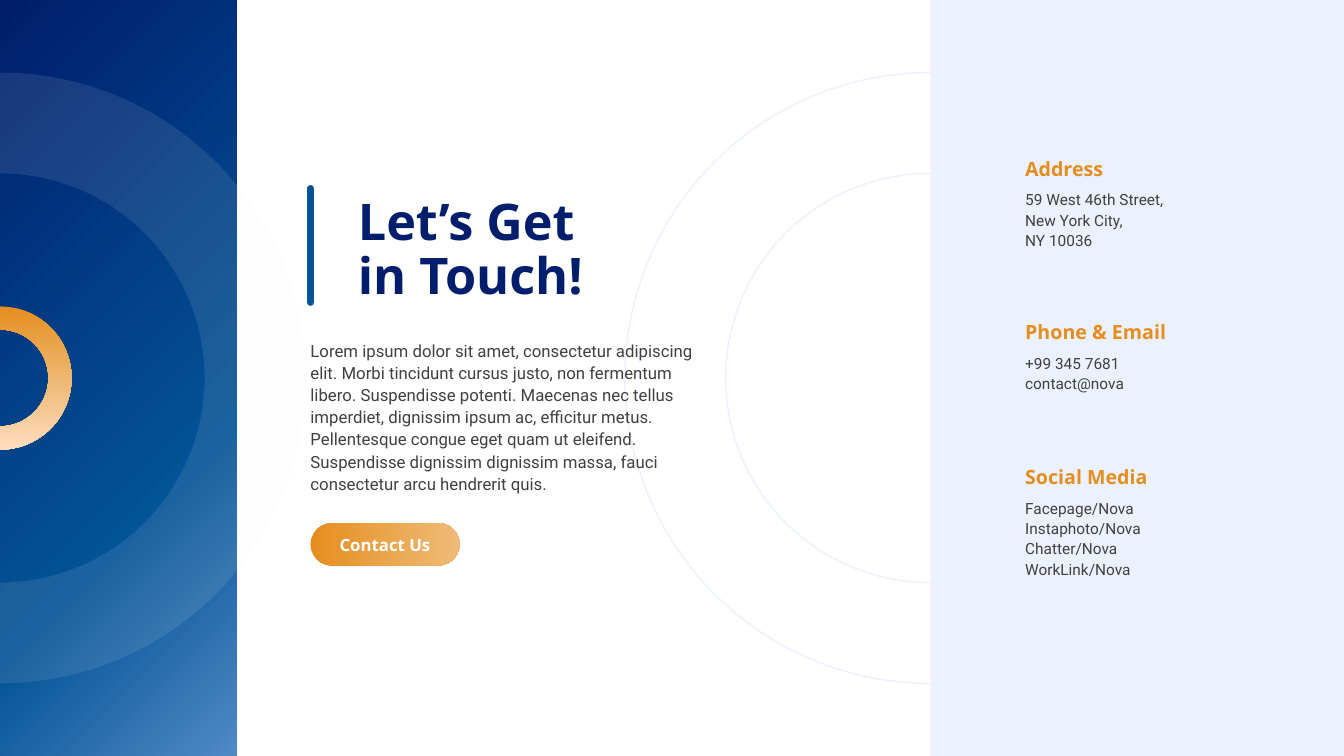
from lxml import etree
from pptx import Presentation
from pptx.dml.color import RGBColor
from pptx.enum.shapes import MSO_CONNECTOR, MSO_SHAPE
from pptx.enum.text import MSO_ANCHOR, MSO_AUTO_SIZE, PP_ALIGN
from pptx.oxml.ns import qn
from pptx.util import Inches, Pt

TOP, MIDDLE, BOTTOM = MSO_ANCHOR.TOP, MSO_ANCHOR.MIDDLE, MSO_ANCHOR.BOTTOM
LEFT, CENTER = PP_ALIGN.LEFT, PP_ALIGN.CENTER

TITLE = "Let’s Get\vin Touch!"
INTRO = (
    "Lorem ipsum dolor sit amet, consectetur adipiscing elit. Morbi tincidunt "
    "cursus justo, non fermentum libero. Suspendisse potenti. Maecenas nec tellus "
    "imperdiet, dignissim ipsum ac, efficitur metus. Pellentesque congue eget quam "
    "ut eleifend. Suspendisse dignissim dignissim massa, fauci consectetur arcu "
    "hendrerit quis."
)
BUTTON = "Contact Us"
CONTACTS = [
    (1.54, "Address", ["59 West 46th Street,", "New York City,", "NY 10036"]),
    (3.16, "Phone & Email", ["+99 345 7681", "contact@nova"]),
    (4.6, "Social Media",
     ["Facepage/Nova", "Instaphoto/Nova", "Chatter/Nova", "WorkLink/Nova"]),
]

COLORS = {
    "navy": "001E6C", "blue": "035397", "sky": "5089C6",
    "orange": "E58E1E", "apricot": "EFBB78", "peach": "FFDDBF",
    "pale": "ECF1FF", "mist": "F2F2F2", "text": "404040", "white": "FFFFFF",
}
HEADING_FONT, BODY_FONT = "Open Sans", "Roboto"

WIDTH, HEIGHT = 40 / 3, 7.5
MID_Y = HEIGHT / 2
BAND_WIDTH = 2.35
PANEL_LEFT = 9.23
BODY_LEFT = 3.08
RING_OUTER, RING_INNER = 3.03, 2.03
CONTACT_LEFT, CONTACT_WIDTH = 10.17, 2.02
LABEL_HEIGHT, LABEL_STEP, LINE_HEIGHT = 0.25, 0.33, 0.21


def rgb(name):
    return RGBColor.from_string(COLORS[name])


def inches(*values):
    return [Inches(value) for value in values]


def fill_solid(shape, color):
    shape.fill.solid()
    shape.fill.fore_color.rgb = rgb(color)


def fill_gradient(shape, stops, angle):
    """Fill with (percent, color) stops; the angle runs clockwise."""
    shape.fill.gradient()
    shape.fill.gradient_angle = -angle % 360
    stop_list = shape._element.spPr.find(qn("a:gradFill")).find(qn("a:gsLst"))
    for old_stop in list(stop_list):
        stop_list.remove(old_stop)
    for percent, color in stops:
        stop = etree.SubElement(stop_list, qn("a:gs"), pos=str(percent * 1000))
        etree.SubElement(stop, qn("a:srgbClr"), val=COLORS[color])


def add_plain_shape(slide, kind, left, top, width, height):
    shape = slide.shapes.add_shape(kind, *inches(left, top, width, height))
    shape.shadow.inherit = False
    shape.line.fill.background()
    return shape


def add_half_ring(slide, outer, inner):
    """Right half of a ring centred on the slide's left edge."""
    corners = [inches(x, MID_Y + y) for x, y in (
        (0, -outer), (outer, 0), (0, outer), (0, inner), (inner, 0), (0, -inner))]
    builder = slide.shapes.build_freeform(*corners[0])
    builder.add_line_segments(corners[1:], close=True)
    ring = builder.convert_to_shape()
    ring.shadow.inherit = False
    ring.line.fill.background()

    # Bend every side but the straight one at the bottom into a quarter circle.
    sides = list(ring._element.spPr.iter(qn("a:lnTo")))
    quarters = [(0, outer, -90, 90), (1, outer, 0, 90),
                (3, inner, 90, -90), (4, inner, 0, -90)]
    for index, radius, start, sweep in quarters:
        size = str(Inches(radius))
        arc = etree.Element(qn("a:arcTo"), wR=size, hR=size,
                            stAng=str(start * 60000), swAng=str(sweep * 60000))
        sides[index].getparent().replace(sides[index], arc)
    return ring


def write(shape, text, size, font, color, bold=False, anchor=TOP, align=LEFT, spacing=1.0):
    frame = shape.text_frame
    frame.text = text
    frame.word_wrap = True
    frame.auto_size = MSO_AUTO_SIZE.NONE
    frame.vertical_anchor = anchor
    frame.margin_left = frame.margin_right = frame.margin_top = frame.margin_bottom = 0
    para = frame.paragraphs[0]
    para.alignment = align
    para.line_spacing = spacing
    for span in para.runs:
        span.font.size = Pt(size)
        span.font.name = font
        span.font.bold = bold
        span.font.color.rgb = rgb(color)


def add_text(slide, place, *args, **style):
    write(slide.shapes.add_textbox(*inches(*place)), *args, **style)


def add_background(slide):
    ring = add_plain_shape(slide, MSO_SHAPE.DONUT, PANEL_LEFT - RING_OUTER,
                           MID_Y - RING_OUTER, 2 * RING_OUTER, 2 * RING_OUTER)
    ring.adjustments[0] = (RING_OUTER - RING_INNER) / (2 * RING_OUTER)
    ring.fill.background()
    ring.line.color.rgb = rgb("pale")
    ring.line.width = Pt(1)

    band = add_plain_shape(slide, MSO_SHAPE.RECTANGLE, 0, 0, BAND_WIDTH, HEIGHT)
    fill_gradient(band, [(0, "navy"), (67, "blue"), (100, "sky")], 45)

    veil = add_half_ring(slide, RING_OUTER, RING_INNER)
    fill_solid(veil, "mist")
    veil_color = veil._element.spPr.find(qn("a:solidFill"))[0]
    etree.SubElement(veil_color, qn("a:alpha"), val="10000")

    accent = add_half_ring(slide, 0.71, 0.48)
    fill_gradient(accent, [(0, "orange"), (55, "apricot"), (100, "peach")], 90)

    panel = add_plain_shape(slide, MSO_SHAPE.RECTANGLE, PANEL_LEFT, 0,
                            WIDTH - PANEL_LEFT, HEIGHT)
    fill_solid(panel, "pale")


def add_message(slide):
    title = slide.shapes.title
    title.left, title.top, title.width, title.height = inches(3.55, 1.94, 3.38, 1.1)
    write(title, TITLE, 36, HEADING_FONT, "navy", bold=True, anchor=MIDDLE, spacing=0.9)

    bar = slide.shapes.add_connector(MSO_CONNECTOR.STRAIGHT,
                                     *inches(BODY_LEFT, 1.87, BODY_LEFT, 3))
    bar.line.color.rgb = rgb("blue")
    bar.line.width = Pt(5)
    bar.line._get_or_add_ln().set("cap", "rnd")
    etree.SubElement(bar._element.spPr, qn("a:effectLst"))

    add_text(slide, (BODY_LEFT, 3.36, 3.85, 1.57), INTRO, 12, BODY_FONT, "text", spacing=1.1)

    button = add_plain_shape(slide, MSO_SHAPE.ROUNDED_RECTANGLE, BODY_LEFT, 5.19, 1.48, 0.42)
    button.adjustments[0] = 0.5
    fill_gradient(button, [(0, "orange"), (100, "apricot")], 0)
    write(button, BUTTON, 12, HEADING_FONT, "white", bold=True, anchor=MIDDLE, align=CENTER)


def add_contacts(slide):
    for top, label, lines in CONTACTS:
        add_text(slide, (CONTACT_LEFT, top + LABEL_STEP, CONTACT_WIDTH,
                         LINE_HEIGHT * len(lines)),
                 "\v".join(lines), 11, BODY_FONT, "text", spacing=1.1)
        add_text(slide, (CONTACT_LEFT, top, CONTACT_WIDTH, LABEL_HEIGHT),
                 label, 14, HEADING_FONT, "orange", bold=True, anchor=BOTTOM)


def main():
    deck = Presentation()
    deck.slide_width, deck.slide_height = inches(WIDTH, HEIGHT)
    slide = deck.slides.add_slide(deck.slide_layouts[5])
    add_background(slide)
    add_message(slide)
    add_contacts(slide)
    deck.save("out.pptx")


if __name__ == "__main__":
    main()
